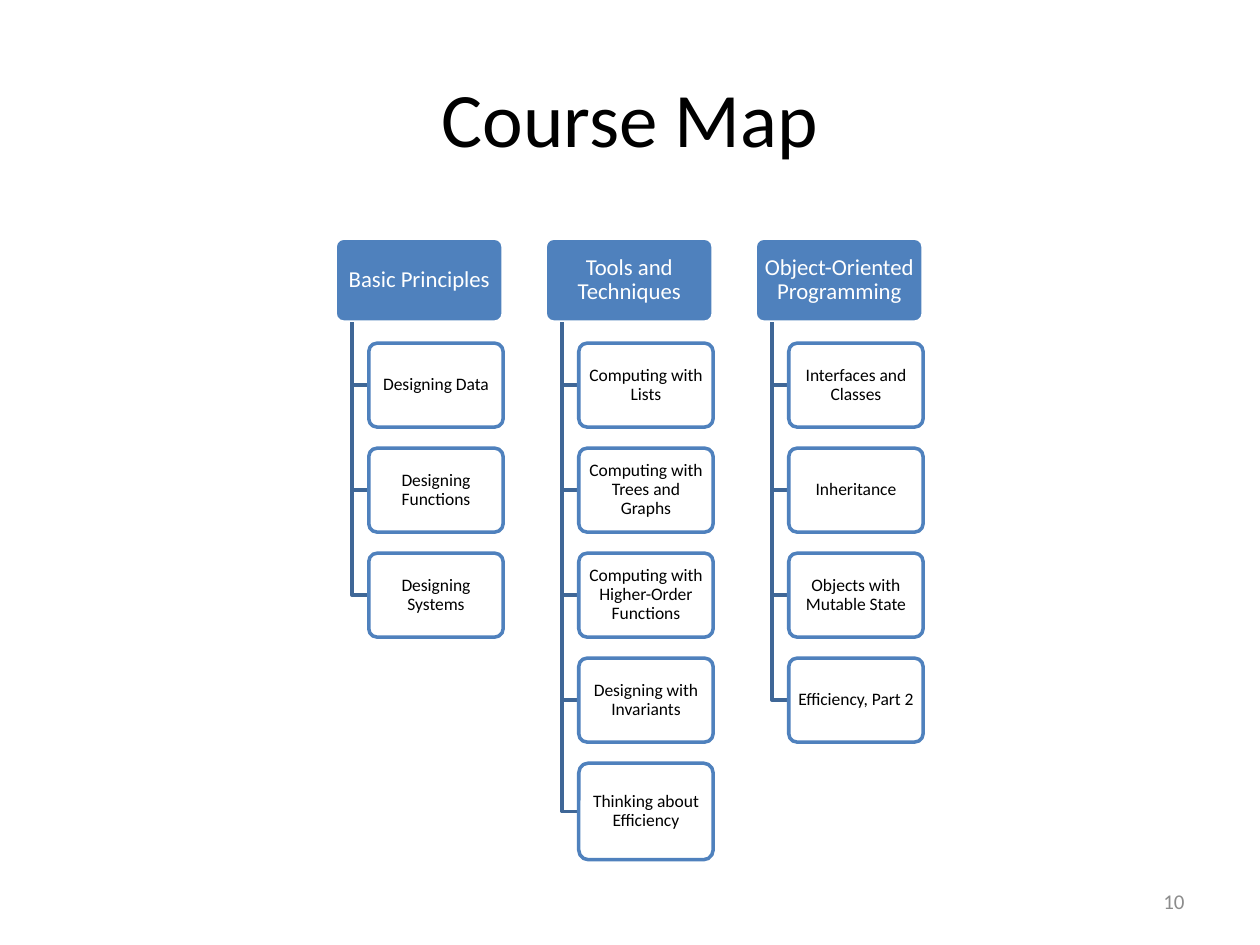
import pptx
import pptx.util
import pptx.dml.color
import pptx.enum.shapes
import pptx.enum.text
import pptx.oxml.ns
from lxml import etree

RGB = pptx.dml.color.RGBColor
BLUE = RGB(0x4F, 0x81, 0xBD)
NAVY = RGB(0x3F, 0x67, 0x97)
WHITE = RGB(0xFF, 0xFF, 0xFF)
BLACK = RGB(0, 0, 0)
GRAY = RGB(0x8C, 0x8C, 0x8C)

TITLE = "Course Map"
PAGE = "10"
TOPICS = [
    ("Basic Principles",
     ["Designing Data", "Designing Functions", "Designing Systems"]),
    ("Tools and Techniques",
     ["Computing with Lists", "Computing with Trees and Graphs",
      "Computing with Higher-Order Functions", "Designing with Invariants",
      "Thinking about Efficiency"]),
    ("Object-Oriented Programming",
     ["Interfaces and Classes", "Inheritance", "Objects with Mutable State",
      "Efficiency, Part 2"]),
]

# Grid: all map lengths are counted in units of a sixth of an inch.
UNIT = 1 / 6
LEFT, TOP = 2.66, 1.89
COL, ROW = 10 * UNIT, 5 * UNIT
HEAD_W, BOX_W, BOX_H = 8 * UNIT, 6.4 * UNIT, 4 * UNIT
LAST_H = 4.6 * UNIT  # a fifth row is a little taller
TRUNK, INDENT = 0.8 * UNIT, 1.6 * UNIT

ALIGN = pptx.enum.text.PP_ALIGN
inch = pptx.util.Inches


def write(shape, text, size, color, align=ALIGN.CENTER, pad=None, space=None):
    """Fill a shape with one formatted paragraph; pad is (side, top) inches."""
    frame = shape.text_frame
    frame.word_wrap = True
    frame.vertical_anchor = pptx.enum.text.MSO_ANCHOR.MIDDLE
    if pad:
        frame.margin_left = frame.margin_right = inch(pad[0])
        frame.margin_top = frame.margin_bottom = inch(pad[1])
    para = frame.paragraphs[0]
    para.alignment = align
    para.line_spacing = space
    run = para.add_run()
    run.text = text
    run.font.name = "Calibri"
    run.font.size = pptx.util.Pt(size)
    run.font.color.rgb = color


def add_box(slide, x, y, w, h, fill, line):
    kind = pptx.enum.shapes.MSO_SHAPE.ROUNDED_RECTANGLE
    box = slide.shapes.add_shape(kind, inch(x), inch(y), inch(w), inch(h))
    box.adjustments[0] = 0.1
    box.shadow.inherit = False
    box.fill.solid()
    box.fill.fore_color.rgb = fill
    box.line.color.rgb = line
    box.line.width = pptx.util.Pt(2)
    return box


def fade(shape, share):
    """Set the opacity of a solid fill."""
    tone = shape.fill._xPr.find(".//" + pptx.oxml.ns.qn("a:srgbClr"))
    alpha = etree.SubElement(tone, pptx.oxml.ns.qn("a:alpha"))
    alpha.set("val", str(int(share * 100000)))


def add_elbow(slide, x, top, right, y):
    pen = slide.shapes.build_freeform(inch(x), inch(top))
    pen.add_line_segments([(inch(x), inch(y)), (inch(right), inch(y))],
                          close=False)
    elbow = pen.convert_to_shape()
    elbow.shadow.inherit = False
    elbow.fill.background()
    elbow.line.color.rgb = NAVY
    elbow.line.width = pptx.util.Pt(2)


def add_topic(slide, x, head, items):
    box = add_box(slide, x, TOP, HEAD_W, BOX_H, BLUE, WHITE)
    write(box, head, 13, WHITE, pad=(0.04, 0.04), space=0.9)
    for row, item in enumerate(items, 1):
        y = TOP + row * ROW
        high = LAST_H if row == 5 else BOX_H
        add_elbow(slide, x + TRUNK, TOP + BOX_H, x + INDENT, y + high / 2)
        box = add_box(slide, x + INDENT, y, BOX_W, high, WHITE, BLUE)
        fade(box, 0.9)
        write(box, item, 10, BLACK, pad=(0.03, 0.03), space=0.9)


def main():
    deck = pptx.Presentation()
    deck.slide_width, deck.slide_height = inch(10), inch(7.5)
    slide = deck.slides.add_slide(deck.slide_layouts[5])

    title = slide.shapes.title
    title.left, title.top = inch(0.5), inch(0.3)
    title.width, title.height = inch(9), inch(1.25)
    write(title, TITLE, 44, BLACK)

    for col, (head, items) in enumerate(TOPICS):
        add_topic(slide, LEFT + col * COL, head, items)

    page = slide.shapes.add_textbox(inch(7.17), inch(6.95),
                                    inch(2.33), inch(0.4))
    write(page, PAGE, 12, GRAY, align=ALIGN.RIGHT)
    deck.save("out.pptx")


if __name__ == "__main__":
    main()
